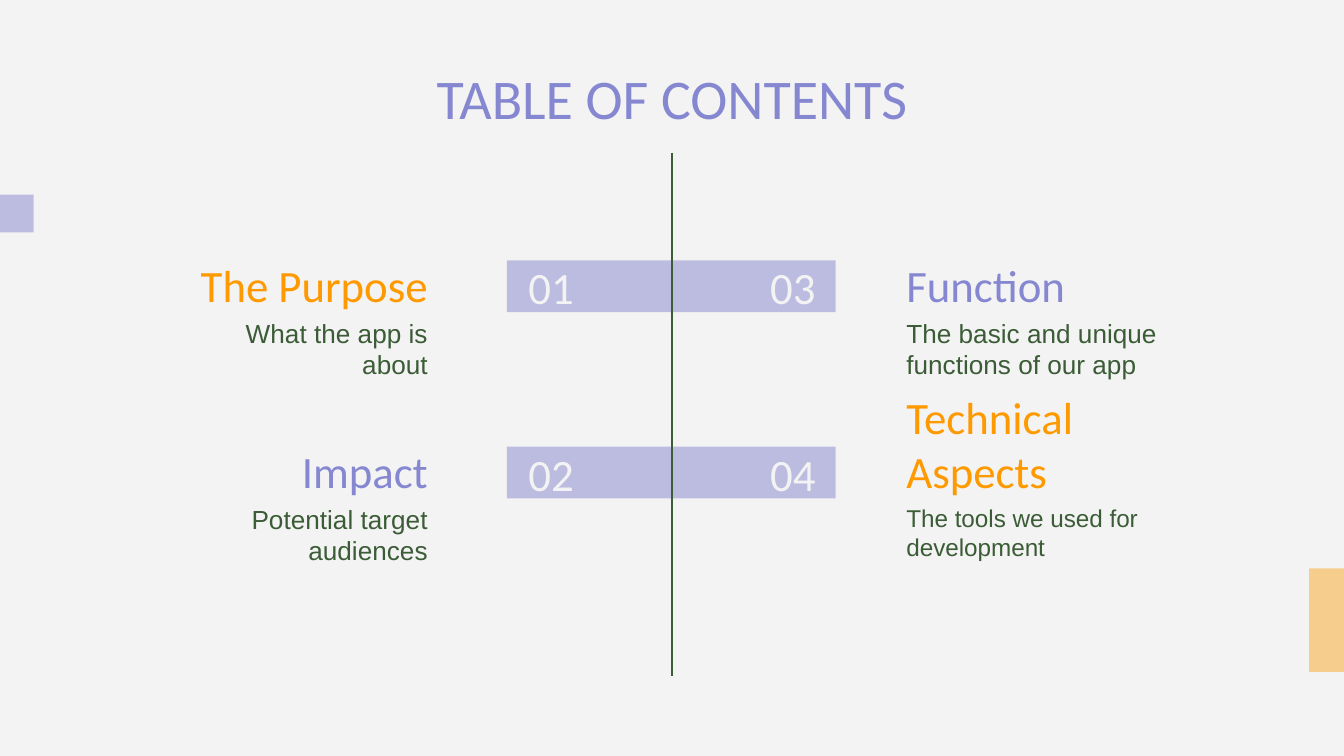
from lxml import etree
from pptx import Presentation
from pptx.dml.color import RGBColor
from pptx.enum.shapes import MSO_CONNECTOR, MSO_SHAPE
from pptx.enum.text import MSO_ANCHOR, PP_ALIGN
from pptx.oxml.ns import qn
from pptx.util import Pt

PX = 9525  # EMU per px, 96 px to the inch
INSET = Pt(7.2)
LEFT, CENTER, RIGHT = PP_ALIGN.LEFT, PP_ALIGN.CENTER, PP_ALIGN.RIGHT
TOP, MIDDLE, BOTTOM = MSO_ANCHOR.TOP, MSO_ANCHOR.MIDDLE, MSO_ANCHOR.BOTTOM
RECTANGLE = MSO_SHAPE.RECTANGLE
STRAIGHT = MSO_CONNECTOR.STRAIGHT

BACKGROUND = RGBColor(0xF3, 0xF3, 0xF3)
PURPLE = RGBColor(0x86, 0x87, 0xD1)
ORANGE = RGBColor(0xFF, 0x99, 0x00)
GREEN = RGBColor(0x3B, 0x5C, 0x36)

presentation = Presentation()
presentation.slide_width = 960 * PX
presentation.slide_height = 540 * PX
slide = presentation.slides.add_slide(presentation.slide_layouts[5])
slide.background.fill.solid()
slide.background.fill.fore_color.rgb = BACKGROUND


def write_text(shape, text, font_name, size, color, alignment, anchor):
    frame = shape.text_frame
    frame_format = {"word_wrap": True, "vertical_anchor": anchor}
    for side in ("left", "top", "right", "bottom"):
        frame_format[f"margin_{side}"] = INSET
    for name, value in frame_format.items():
        setattr(frame, name, value)
    frame.text = text
    paragraph = frame.paragraphs[0]
    paragraph.alignment = alignment
    font = paragraph.runs[0].font
    for name, value in {"name": font_name, "size": Pt(size)}.items():
        setattr(font, name, value)
    font.color.rgb = color


def add_band(left, top, width, height, color, opacity):
    band = slide.shapes.add_shape(RECTANGLE, left * PX, top * PX, width * PX, height * PX)
    band.shadow.inherit = False
    band.line.fill.background()
    band.fill.solid()
    band.fill.fore_color.rgb = color
    color_element = band.fill._xPr.find(qn("a:solidFill"))[0]
    etree.SubElement(color_element, qn("a:alpha"), val=str(opacity * 1000))


# Title
title = slide.shapes.title
for name, value in {"left": 297, "top": 14, "width": 366, "height": 89}.items():
    setattr(title, name, value * PX)
write_text(title, "TABLE OF CONTENTS", "Calibri", 30, PURPLE, CENTER, BOTTOM)

# Number bands, one per row
ROW_TOPS = (172, 305)
for row_top in ROW_TOPS:
    add_band(362, row_top + 14, 235, 37, PURPLE, 50)

# Sections: number, heading, heading left and width, description, column, row,
# heading colour, description size
sections = [
    ("01", "The Purpose", 122, 193, "What the app is about", 0, 0, ORANGE, 14),
    ("02", "Impact", 86, 229, "Potential target audiences", 0, 1, PURPLE, 14),
    ("03", "Function", 638, 200, "The basic and unique functions of our app", 1, 0, PURPLE, 14),
    ("04", "Technical Aspects", 638, 200, "The tools we used for development", 1, 1, ORANGE, 13),
]
# Columns: number left, description left, number alignment, text alignment
columns = [(368, 115, LEFT, RIGHT), (470, 638, RIGHT, LEFT)]
for (number, heading, heading_left, heading_width, description,
     column, row, color, size) in sections:
    number_left, description_left, number_alignment, text_alignment = columns[column]
    row_top = ROW_TOPS[row]
    boxes = [
        (number_left, row_top + 3, 122, 60,
         (number, "Calibri", 24, BACKGROUND, number_alignment, MIDDLE)),
        (heading_left, row_top, heading_width, 60,
         (heading, "Calibri", 24, color, text_alignment, BOTTOM)),
        (description_left, row_top + 45, 200, 64,
         (description, "Arial", size, GREEN, text_alignment, TOP)),
    ]
    for left, top, width, height, text_format in boxes:
        box = slide.shapes.add_textbox(left * PX, top * PX, width * PX, height * PX)
        write_text(box, *text_format)

# Centre line
center_line = slide.shapes.add_connector(STRAIGHT, 480 * PX, 109 * PX, 480 * PX, 483 * PX)
center_line.line.color.rgb = GREEN
center_line.line.width = Pt(0.75)
etree.SubElement(center_line._element.spPr, qn("a:effectLst"))

# Accents running off the slide edges
add_band(935, 406, 112, 74, ORANGE, 41)
add_band(-88, 139, 112, 27, PURPLE, 50)

presentation.save("out.pptx")
